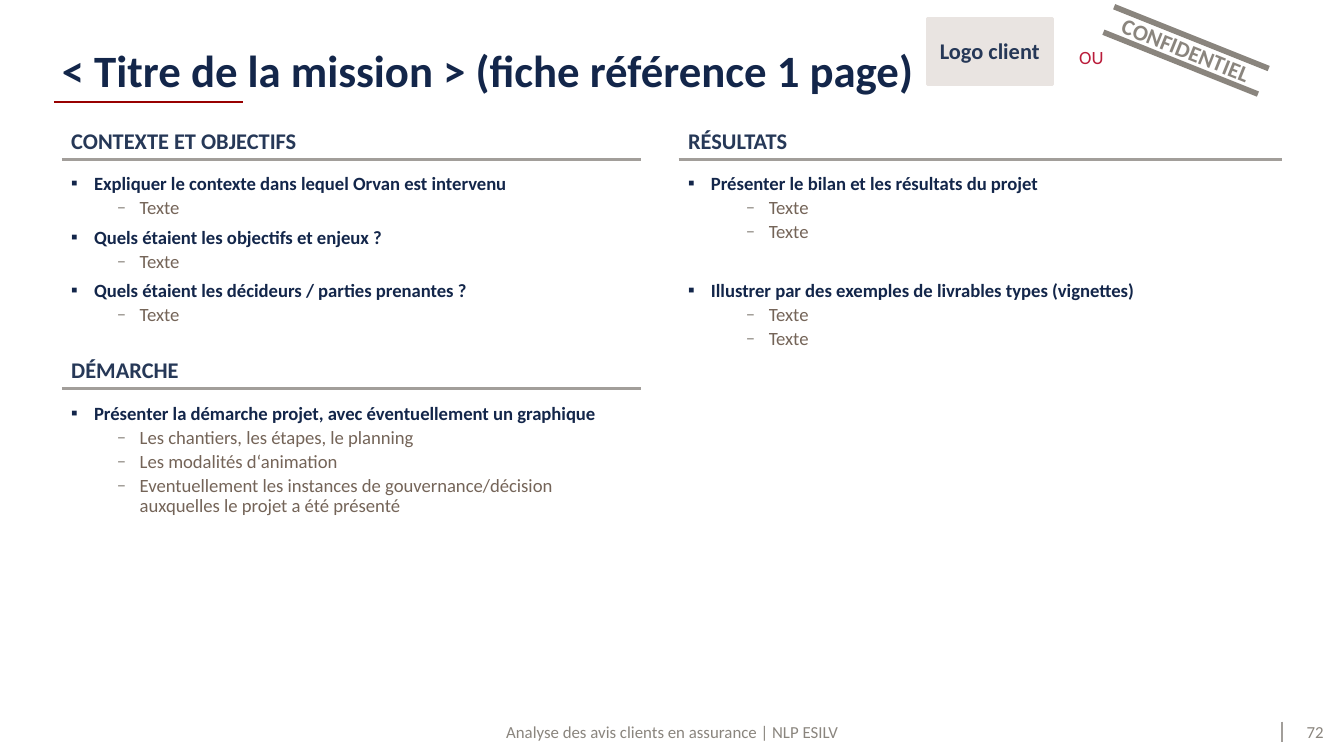
from lxml import etree
from pptx import Presentation
from pptx.dml.color import RGBColor as RGB
from pptx.enum.shapes import MSO_CONNECTOR as Conn, MSO_SHAPE as Shape
from pptx.enum.text import MSO_ANCHOR as Anchor, PP_ALIGN as Align
from pptx.oxml.ns import qn
from pptx.util import Inches, Pt

WHITE = RGB(0xFF, 0xFF, 0xFF)
NAVY = RGB(0x13, 0x26, 0x4A)
BLUE = RGB(0x26, 0x38, 0x57)
BROWN = RGB(0x74, 0x64, 0x58)
GREY = RGB(0x8A, 0x85, 0x7E)
RULE = RGB(0xA2, 0x9E, 0x9A)
SAND = RGB(0xE9, 0xE4, 0xE1)
RED = RGB(0x98, 0x00, 0x00)
PINK = RGB(0xBA, 0x1C, 0x3A)

FONT = "Calibri"
LEFT, RIGHT = 0.46, 5.05
PAD = (0.07, 0.04, 0.07, 0.04)

# Each topic is a heading with its sub-points
CONTEXT = [
    ("Expliquer le contexte dans lequel Orvan est intervenu", ["Texte"]),
    ("Quels étaient les objectifs et enjeux ?", ["Texte"]),
    ("Quels étaient les décideurs / parties prenantes ?", ["Texte"]),
]
STEPS = [
    ("Présenter la démarche projet, avec éventuellement un graphique", [
        "Les chantiers, les étapes, le planning",
        "Les modalités d‘animation",
        "Eventuellement les instances de gouvernance/décision "
        "auxquelles le projet a été présenté",
    ]),
]
RESULTS = [
    ("Présenter le bilan et les résultats du projet", ["Texte", "Texte"]),
    ("Illustrer par des exemples de livrables types (vignettes)",
     ["Texte", "Texte"]),
]


def set_frame(shape, pad, anchor):
    frame = shape.text_frame
    frame.word_wrap = True
    frame.vertical_anchor = anchor
    (frame.margin_left, frame.margin_top,
     frame.margin_right, frame.margin_bottom) = map(Inches, pad)
    return frame


def style(para, size, color, bold=False, align=Align.LEFT):
    para.alignment = align
    para.line_spacing = 0.9
    font = para.font
    font.name, font.size, font.bold = FONT, Pt(size), bold
    font.color.rgb = color


def add_text(slide, text, box, size, color, bold=False, align=Align.LEFT,
             pad=PAD, anchor=Anchor.MIDDLE):
    shape = slide.shapes.add_textbox(*map(Inches, box))
    para = set_frame(shape, pad, anchor).paragraphs[0]
    para.text = text
    style(para, size, color, bold, align)
    return shape


def add_box(slide, box, fill):
    shape = slide.shapes.add_shape(Shape.RECTANGLE, *map(Inches, box))
    shape.shadow.inherit = False
    shape.fill.solid()
    shape.fill.fore_color.rgb = fill
    shape.line.fill.background()
    return shape


def add_line(slide, start, end, color, width):
    line = slide.shapes.add_connector(Conn.STRAIGHT,
                                      *map(Inches, start + end))
    line.line.color.rgb = color
    line.line.width = Pt(width)
    props = line._element.spPr
    etree.SubElement(props, qn("a:effectLst"))


def add_point(para, text, char, tint, indent):
    para.text = text
    props = para._p.get_or_add_pPr()
    props.set("marL", str(Inches(indent)))
    props.set("indent", str(-Inches(0.17)))
    color = etree.SubElement(props, qn("a:buClr"))
    etree.SubElement(color, qn("a:srgbClr"), val=str(tint))
    etree.SubElement(props, qn("a:buFont"), typeface=FONT)
    etree.SubElement(props, qn("a:buChar"), char=char)


def add_list(slide, topics, box, indent=0.51, gap=5):
    shape = add_box(slide, box, WHITE)
    frame = set_frame(shape, (0.07, 0.07, 0.05, 0.04), Anchor.TOP)
    for i, (head, points) in enumerate(topics):
        para = frame.add_paragraph() if i else frame.paragraphs[0]
        add_point(para, head, "▪", NAVY, 0.17)
        style(para, 10, NAVY, True)
        if i:
            para.space_before = Pt(gap)
        for point in points:
            para = frame.add_paragraph()
            para.level = 1
            add_point(para, point, "–", GREY, indent)
            style(para, 10, BROWN)
            para.space_before = Pt(2)


def add_head(slide, text, x, y, width):
    add_text(slide, text, (x, y, width, 0.22), 12, BLUE, True)
    add_line(slide, (x, y + 0.24), (x + width, y + 0.24), RULE, 1.5)


def add_stamp(slide):
    shape = add_text(slide, "CONFIDENTIEL", (8.22, 0.25, 1.2, 0.26), 12, GREY,
                     True, Align.CENTER, (0, 0, 0, 0))
    shape.rotation = 21.8
    for x, y in ((8.21, 0.24), (8.29, 0.05)):
        add_line(slide, (x, y), (x + 1.15, y + 0.46), GREY, 3)


def add_foot(slide):
    pad = (0.03,) * 4
    for text, x, width in (
        ("Analyse des avis clients en assurance | NLP ESILV", 3.27, 3.46),
        ("72", 9.64, 0.29),
    ):
        add_text(slide, text, (x, 5.35, width, 0.21), 9, GREY,
                 align=Align.CENTER, pad=pad)
    add_line(slide, (9.54, 5.37), (9.54, 5.52), RULE, 0.75)


def main():
    # Widescreen 16:9
    deck = Presentation()
    deck.slide_width = Inches(10)
    deck.slide_height = Inches(10) * 9 // 16
    slide = deck.slides.add_slide(deck.slide_layouts[6])

    # Footer and title
    add_foot(slide)
    add_line(slide, (0.4, 0.76), (1.81, 0.76), RED, 1.25)
    add_text(slide, "< Titre de la mission > (fiche référence 1 page)",
             (LEFT, 0.18, 9.09, 0.56), 24, NAVY, True,
             pad=(0, 0.04, 0.02, 0.02), anchor=Anchor.BOTTOM)

    # Left column
    add_list(slide, CONTEXT, (LEFT, 1.23, 4.31, 1.41))
    add_head(slide, "CONTEXTE ET OBJECTIFS", LEFT, 0.95, 4.31)
    add_list(slide, STEPS, (LEFT, 2.94, 4.31, 2.28))
    add_head(slide, "DÉMARCHE", LEFT, 2.65, 4.31)

    # Right column
    add_list(slide, RESULTS, (RIGHT, 1.23, 4.49, 3.98), 0.6, 20.5)
    add_head(slide, "RÉSULTATS", RIGHT, 0.95, 4.49)

    # Client logo slot, or confidential stamp
    slot = add_box(slide, (6.9, 0.14, 0.93, 0.49), SAND)
    slot.line.color.rgb = SAND
    slot.line.width = Pt(1.5)
    para = set_frame(slot, (0.07, 0.03, 0.07, 0.03),
                     Anchor.MIDDLE).paragraphs[0]
    para.text = "Logo client"
    style(para, 12, BLUE, True, Align.CENTER)
    add_stamp(slide)
    add_text(slide, "OU", (7.96, 0.32, 0.35, 0.24), 10, PINK,
             anchor=Anchor.TOP)

    deck.save("out.pptx")


if __name__ == "__main__":
    main()
